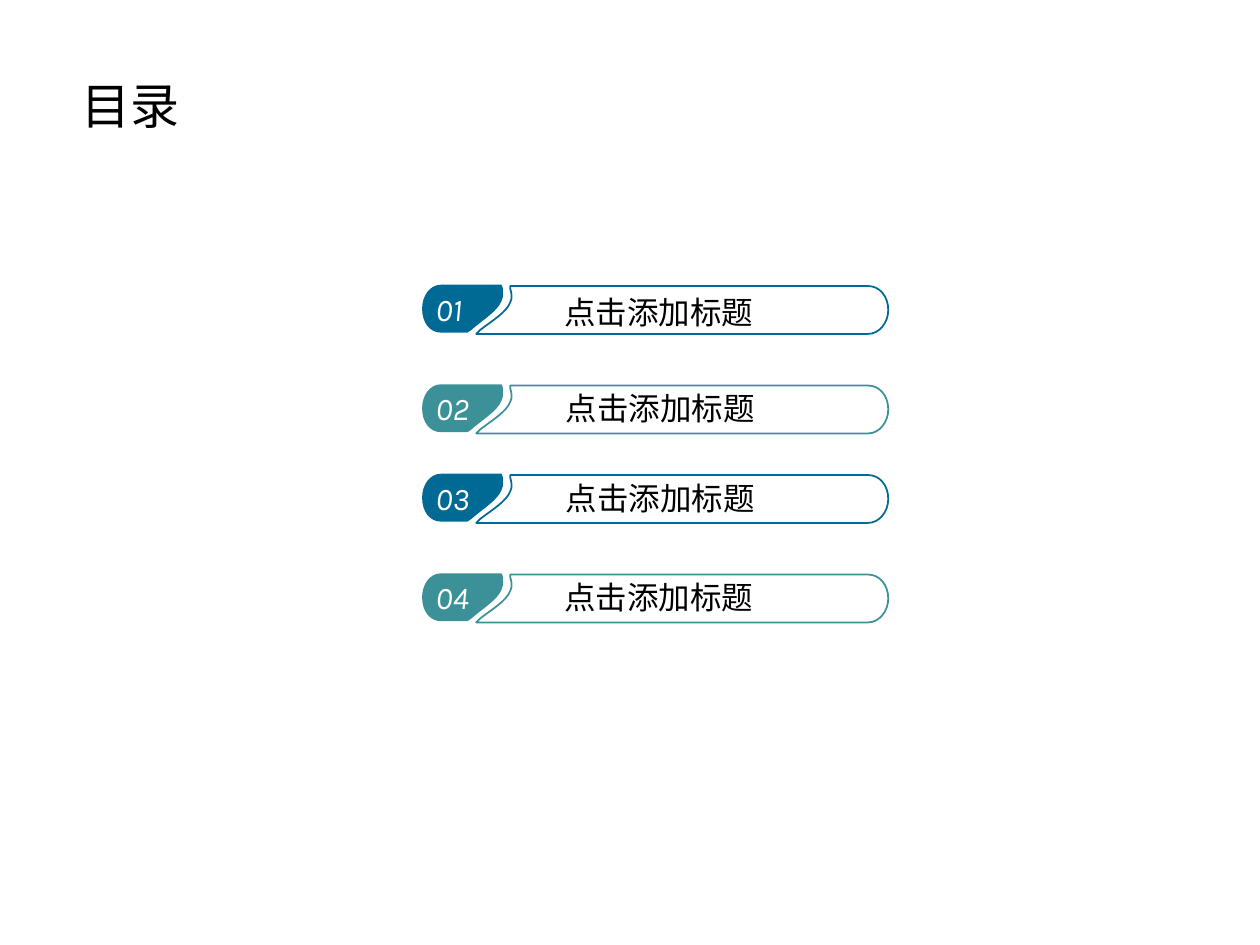
import lxml.etree
import pptx
import pptx.dml.color
import pptx.enum.text
import pptx.oxml.ns
import pptx.util

Inches = pptx.util.Inches
RGBColor = pptx.dml.color.RGBColor
qn = pptx.oxml.ns.qn

BLUE = RGBColor(0x00, 0x6A, 0x94)
TEAL = RGBColor(0x3C, 0x91, 0x98)
BLACK = RGBColor(0x00, 0x00, 0x00)
WHITE = RGBColor(0xFF, 0xFF, 0xFF)
CHINESE_FONT = "Noto Sans CJK SC"

# Each step is an end point (line) or two control points and an end point (curve).
# Heights are measured from the top of the row.
BAR = [
    (4.05, 0.01), (6.89, 0.01),
    (6.98, 0.01, 7.05, 0.09, 7.05, 0.2),
    (7.05, 0.3, 6.98, 0.39, 6.89, 0.39),
    (3.78, 0.39), (3.81, 0.36),
    (3.9, 0.29, 4.02, 0.22, 4.05, 0.14),
    (4.07, 0.1, 4.06, 0.07, 4.05, 0.03),
]
BADGE = [
    (3.5, 0), (3.98, 0), (3.99, 0.02),
    (3.99, 0.06, 4, 0.09, 3.98, 0.13),
    (3.95, 0.21, 3.83, 0.28, 3.74, 0.36),
    (3.71, 0.38), (3.5, 0.38),
    (3.41, 0.38, 3.35, 0.3, 3.35, 0.19),
    (3.35, 0.09, 3.41, 0, 3.5, 0),
]


def add_text(shapes, text, left, top, width, height, *, size=18,
             font=CHINESE_FONT, color=BLACK, italic=None, wrap=False):
    box = shapes.add_textbox(Inches(left), Inches(top), Inches(width), Inches(height))
    frame = box.text_frame
    frame.word_wrap = wrap
    frame.auto_size = pptx.enum.text.MSO_AUTO_SIZE.SHAPE_TO_FIT_TEXT
    span = frame.paragraphs[0].add_run()
    span.text = text
    span.font.size = pptx.util.Pt(size)
    span.font.name = font
    span.font.color.rgb = color
    span.font.italic = italic
    east_asian = lxml.etree.SubElement(span.font._element, qn("a:ea"))
    east_asian.set("typeface", font)


def add_outline(shapes, steps, top):
    """Draw all points as lines, then join every curve's three lines into one Bezier."""
    corners = [(Inches(step[i]), Inches(top + step[i + 1]))
               for step in steps for i in range(0, len(step), 2)]
    builder = shapes.build_freeform(*corners[0])
    builder.add_line_segments(corners[1:], close=True)
    outline = builder.convert_to_shape()
    outline.shadow.inherit = False

    lines = iter(list(outline._element.iter(qn("a:lnTo"))))
    for step in steps[1:]:
        line = next(lines)
        if len(step) == 6:
            curve = lxml.etree.Element(qn("a:cubicBezTo"))
            line.addprevious(curve)
            for part in (line, next(lines), next(lines)):
                curve.append(part[0])
                part.getparent().remove(part)
    return outline


deck = pptx.Presentation()
deck.slide_width = Inches(10)
deck.slide_height = Inches(7.5)
page = deck.slides.add_slide(deck.slide_layouts[6])

add_text(page.shapes, "目录", 0.55, 0.55, 1.09, 0.57, size=28, wrap=True)

# number, row top, title left, title top, colour
rows = [
    ("01", 2.26, 4.38, 2.28, BLUE),
    ("02", 3.05, 4.39, 3.04, TEAL),
    ("03", 3.76, 4.39, 3.75, BLUE),
    ("04", 4.55, 4.38, 4.54, TEAL),
]
for number, row_top, title_left, title_top, color in rows:
    add_text(page.shapes, "点击添加标题", title_left, title_top, 1.7, 0.4)
    group = page.shapes.add_group_shape()

    bar = add_outline(group.shapes, BAR, row_top)
    bar.fill.background()
    bar.line.color.rgb = color
    bar.line.width = pptx.util.Pt(1)

    badge = add_outline(group.shapes, BADGE, row_top)
    badge.fill.solid()
    badge.fill.fore_color.rgb = color
    badge.line.fill.background()

    add_text(group.shapes, number, 3.36, row_top - 0.01, 0.47, 0.4,
             font="Karla", color=WHITE, italic=True)

deck.save("out.pptx")
